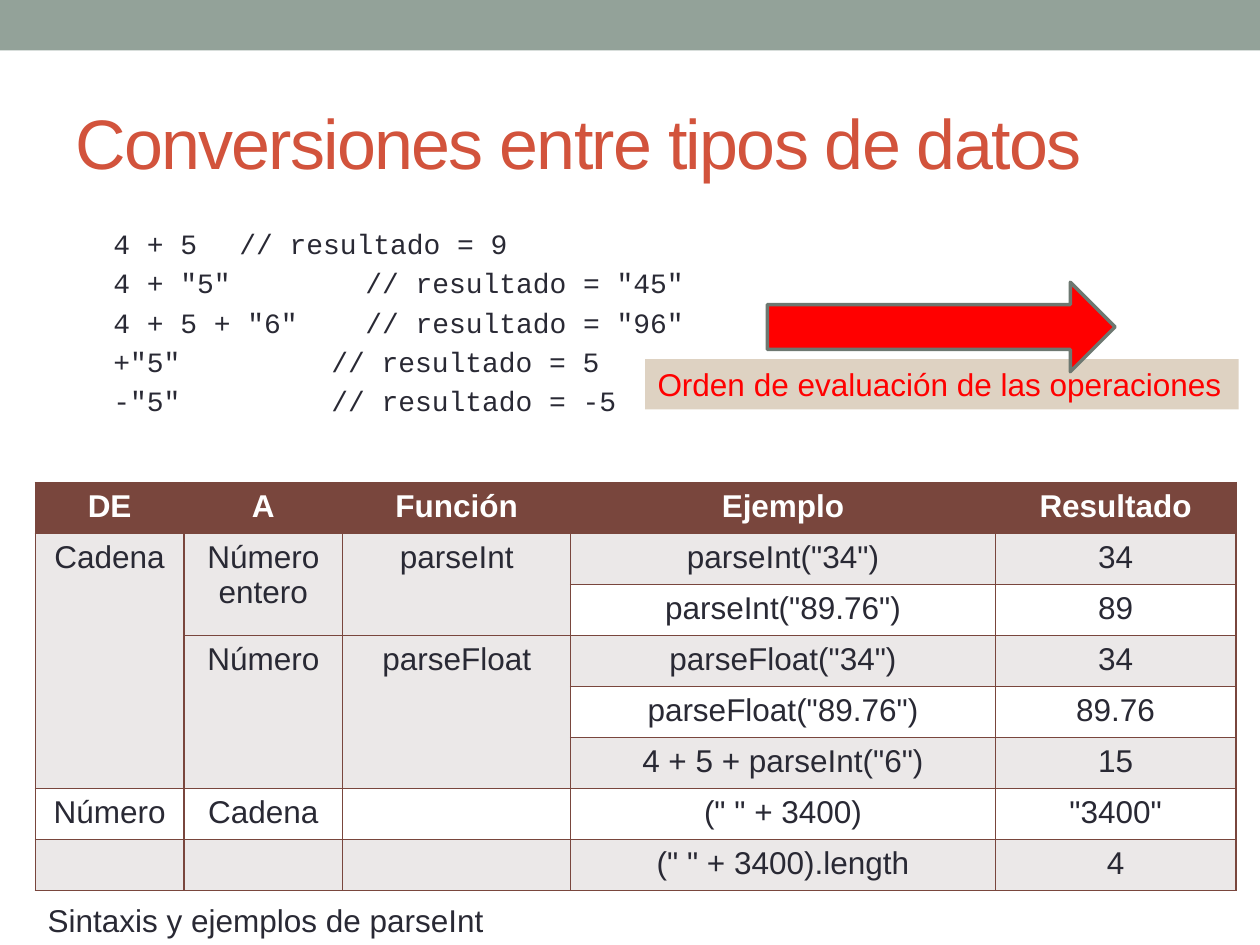
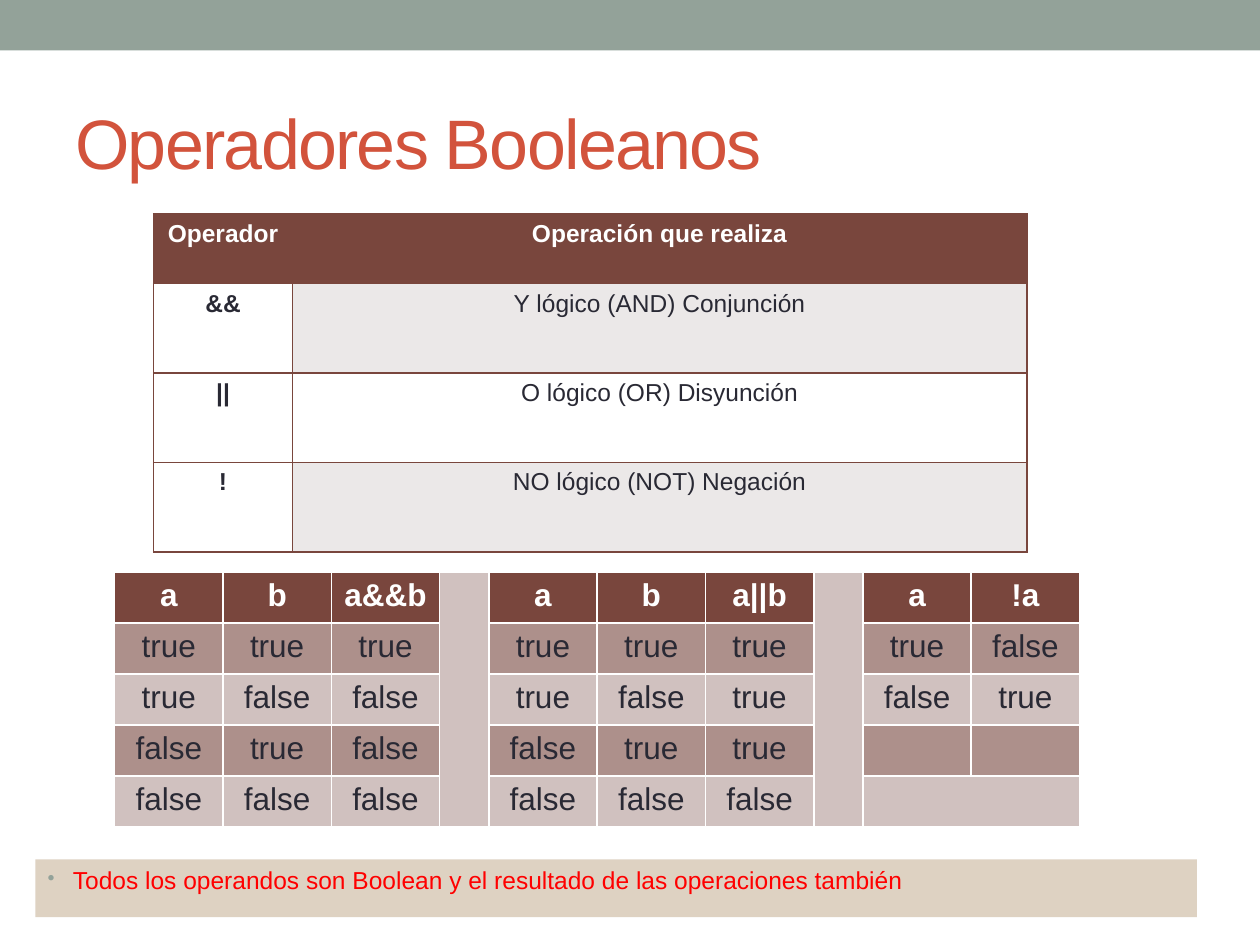
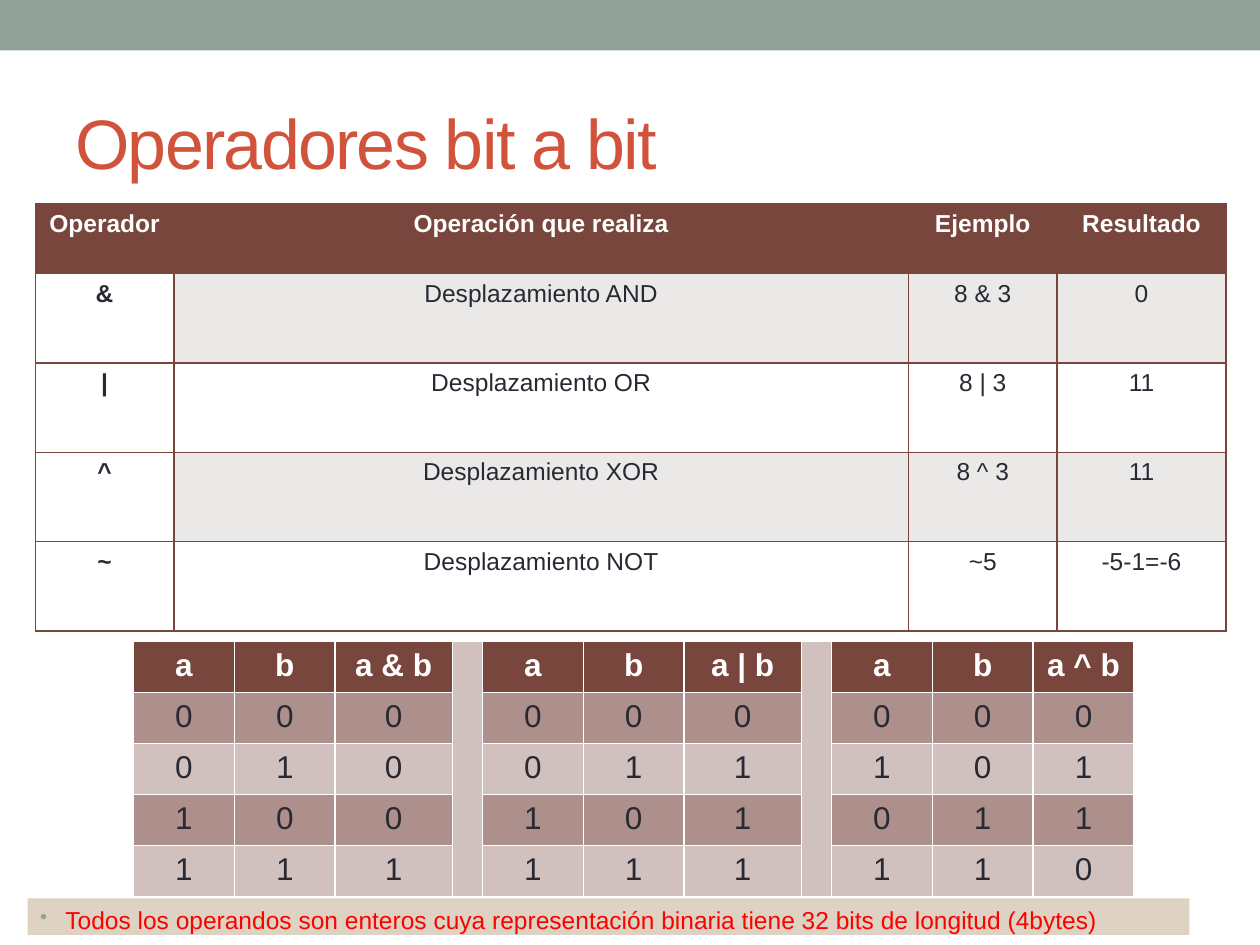
"""Build three slides on type conversions, Boolean operators and bitwise operators."""
from dataclasses import dataclass

from lxml import etree
from pptx import Presentation
from pptx import util as u
from pptx.dml.color import RGBColor
from pptx.enum import shapes, text
from pptx.oxml.ns import qn


@dataclass(frozen=True)
class Theme:
    band: str = "93A299"
    title: str = "D2533C"
    ink: str = "292934"
    paper: str = "FFFFFF"
    alert: str = "FF0000"
    note: str = "DED2C2"
    outline: str = "6D7871"
    head: str = "79463D"
    stripe: str = "EBE8E8"
    dark: str = "AD908B"
    light: str = "D0C1BF"
    sans: str = "Arial"
    mono: str = "Courier New"
    title_pt: int = 40
    body_pt: int = 18
    code_pt: int = 16
    small_pt: int = 14
    border_pt: float = 0.96


T = Theme()
WIDTH, HEIGHT = 10, 7.5
MARGIN = 0.28
ROW, HEAD_ROW, TALL_ROW = 0.405, 0.55, 0.71

CODE = [
    ('4 + 5 \t// resultado = 9', 1),
    ('4 + "5" \t// resultado = "45"', 2),
    ('4 + 5 + "6" \t// resultado = "96"', 2),
    ('+"5"\t// resultado = 5', 1.73),
    ('-"5"\t// resultado = -5', 1.73),
]
CONVERSIONS = [
    ("DE", "A", "Función", "Ejemplo", "Resultado"),
    ("Cadena", "Número entero", "parseInt", 'parseInt("34")', "34"),
    ("", "", "", 'parseInt("89.76")', "89"),
    ("", "Número", "parseFloat", 'parseFloat("34")', "34"),
    ("", "", "", 'parseFloat("89.76")', "89.76"),
    ("", "", "", '4 + 5 + parseInt("6")', "15"),
    ("Número", "Cadena", "", '(" " + 3400)', '"3400"'),
    ("", "", "", '(" " + 3400).length', "4"),
]
CONVERSION_COLS = (1.18, 1.26, 1.81, 3.37, 1.91)
CONVERSION_SPANS = [(1, 0, 5, 0), (1, 1, 2, 1), (1, 2, 2, 2), (3, 1, 5, 1), (3, 2, 5, 2)]

BOOLEAN_OPS = [
    ("Operador", "Operación que realiza"),
    ("&&", "Y lógico (AND) Conjunción"),
    ("||", "O lógico (OR) Disyunción"),
    ("!", "NO lógico (NOT) Negación"),
]
BIT_OPS = [
    ("Operador", "Operación que realiza", "Ejemplo", "Resultado"),
    ("&", "Desplazamiento AND", "8 & 3", "0"),
    ("|", "Desplazamiento OR", "8 | 3", "11"),
    ("^", "Desplazamiento XOR", "8 ^ 3", "11"),
    ("~", "Desplazamiento NOT", "~5", "-5-1=-6"),
]
OPERATOR_COLS = (1.1, 5.83, 1.18, 1.34)

BOOLEAN_TRUTH = [
    ["a b a&&b", "true true true", "true false false", "false true false", "false false false"],
    ["a b a||b", "true true true", "true false true", "false true true", "false false false"],
    ["a !a", "true false", "false true"],
]
BIT_TRUTH = [
    ["a,b,a & b", "0,0,0", "0,1,0", "1,0,0", "1,1,1"],
    ["a,b,a | b", "0,0,0", "0,1,1", "1,0,1", "1,1,1"],
    ["a,b,a ^ b", "0,0,0", "1,0,1", "0,1,1", "1,1,0"],
]


def rgb(value):
    return RGBColor.from_string(value)


def box(*lengths):
    return [u.Inches(v) for v in lengths]


def style(p, size, color, name=T.sans, bold=False):
    f = p.font
    f.size, f.name, f.bold = u.Pt(size), name, bold
    f.color.rgb = rgb(color)


def add_text(s, at, value, size, color, wrap=True):
    sp = s.shapes.add_textbox(*box(*at))
    tf = sp.text_frame
    tf.word_wrap = wrap
    p = tf.paragraphs[0]
    p.text = value
    style(p, size, color)
    return sp


def add_block(s, kind, at, fill):
    sp = s.shapes.add_shape(kind, *box(*at))
    sp.shadow.inherit = False
    sp.fill.solid()
    sp.fill.fore_color.rgb = rgb(fill)
    sp.line.fill.background()
    return sp


def add_note(s, at, value, size, bullet=False):
    tf = add_block(s, shapes.MSO_SHAPE.RECTANGLE, at, T.note).text_frame
    tf.word_wrap = True
    tf.vertical_anchor = text.MSO_ANCHOR.TOP
    p = tf.paragraphs[0]
    p.text = value
    p.alignment = text.PP_ALIGN.LEFT
    if bullet:
        p.space_before = u.Pt(2.8)
        pr = p._p.get_or_add_pPr()
        pr.set("marL", str(u.Inches(0.2)))
        pr.set("indent", str(-u.Inches(0.2)))
        color = etree.SubElement(pr, qn("a:buClr"))
        etree.SubElement(color, qn("a:srgbClr"), val=T.band)
        etree.SubElement(pr, qn("a:buSzPct"), val="85000")
        etree.SubElement(pr, qn("a:buChar"), char="•")
    style(p, size, T.alert)


def add_code(s, at, lines):
    tf = s.shapes.add_textbox(*box(*at)).text_frame
    tf.word_wrap = True
    tf.margin_left = u.Inches(0.4)
    for i, (line, stop) in enumerate(lines):
        p = tf.add_paragraph() if i else tf.paragraphs[0]
        p.text = line
        p.space_before = u.Pt(3.2)
        tabs = etree.SubElement(p._p.get_or_add_pPr(), qn("a:tabLst"))
        etree.SubElement(tabs, qn("a:tab"), pos=str(u.Inches(stop)), algn="l")
        style(p, T.code_pt, T.ink, T.mono)


def add_borders(cell, color):
    pr = cell._tc.get_or_add_tcPr()
    for side in "LRTB":
        ln = etree.SubElement(pr, qn(f"a:ln{side}"), w=str(u.Pt(T.border_pt)))
        fill = etree.SubElement(ln, qn("a:solidFill"))
        etree.SubElement(fill, qn("a:srgbClr"), val=color)


def add_grid(s, at, rows, cols, heights, size, border, stripes, fills=None, spans=(), bold_first=False):
    fills = fills or {}
    frame = s.shapes.add_table(len(rows), len(cols), *box(*at, sum(cols), sum(heights)))
    table = frame.table
    table.first_row = table.horz_banding = False
    for column, width in zip(table.columns, cols):
        column.width = u.Inches(width)
    for r, (row, height) in enumerate(zip(rows, heights)):
        table.rows[r].height = u.Inches(height)
        for c, value in enumerate(row):
            cell = table.cell(r, c)
            add_borders(cell, border)
            cell.fill.solid()
            cell.fill.fore_color.rgb = rgb(fills.get(c) if c in fills and (r or not bold_first)
                                           else stripes[r % 2] if r else T.head)
            p = cell.text_frame.paragraphs[0]
            p.text = value
            p.alignment = text.PP_ALIGN.CENTER
            style(p, size, T.ink if r else T.paper, bold=not r or (bold_first and c == 0))
    for top, left, bottom, right in spans:
        table.cell(top, left).merge(table.cell(bottom, right))


def add_operators(s, at, rows):
    heights = [HEAD_ROW] + [TALL_ROW] * (len(rows) - 1)
    add_grid(s, at, rows, OPERATOR_COLS[:len(rows[0])], heights, T.small_pt, T.head,
             (T.paper, T.stripe), {0: T.paper}, bold_first=True)


def add_truth(s, at, blocks, sep, widths, gap):
    rows, cols, gaps, spans = [[] for _ in blocks[0]], [], {}, []
    last = len(rows) - 1
    for block, block_widths in zip(blocks, widths):
        if cols:
            gaps[len(cols)] = T.light
            spans.append((0, len(cols), last, len(cols)))
            cols.append(gap)
            for row in rows:
                row.append("")
        if len(block) < len(rows):
            spans.append((last, len(cols), last, len(cols) + len(block_widths) - 1))
        for i, row in enumerate(rows):
            row += block[i].split(sep) if i < len(block) else [""] * len(block_widths)
        cols += block_widths
    add_grid(s, at, rows, cols, [ROW] * len(rows), T.body_pt, T.paper, (T.light, T.dark), gaps, spans)


def add_slide(prs, title):
    s = prs.slides.add_slide(prs.slide_layouts[6])
    add_block(s, shapes.MSO_SHAPE.RECTANGLE, (0, 0, WIDTH, 0.4), T.band)
    sp = add_text(s, (0.5, 0.58, WIDTH - 1, 1.08), title, T.title_pt, T.title)
    sp.text_frame.vertical_anchor = text.MSO_ANCHOR.MIDDLE
    sp.text_frame.paragraphs[0].runs[0].font._element.set("spc", "-100")
    return s


def conversions(prs):
    s = add_slide(prs, "Conversiones entre tipos de datos")
    add_code(s, (0.5, 1.75, WIDTH - 1, 5.33), CODE)
    add_note(s, (5.12, 2.85, 4.71, 0.4), "Orden de evaluación de las operaciones", T.body_pt)
    arrow = add_block(s, shapes.MSO_SHAPE.RIGHT_ARROW, (6.09, 2.24, 2.76, 0.71), T.alert)
    arrow.line.color.rgb = rgb(T.outline)
    arrow.line.width = u.Pt(2)
    add_grid(s, (MARGIN, 3.83), CONVERSIONS, CONVERSION_COLS, [ROW] * len(CONVERSIONS),
             T.body_pt, T.head, (T.paper, T.stripe), spans=CONVERSION_SPANS)
    add_text(s, (MARGIN, 7.1, 3.7, 0.4), "Sintaxis y ejemplos de parseInt", T.body_pt, T.ink, wrap=False)


def booleans(prs):
    s = add_slide(prs, "Operadores Booleanos")
    add_operators(s, (1.22, 1.7), BOOLEAN_OPS)
    add_note(s, (MARGIN, 6.82, 9.22, 0.46),
             "Todos los operandos son Boolean y el resultado de las operaciones también", T.small_pt, True)
    add_truth(s, (0.91, 4.54), BOOLEAN_TRUTH, " ", [[0.86] * 3, [0.86] * 3, [0.86] * 2], 0.39)


def bitwise(prs):
    s = add_slide(prs, "Operadores bit a bit")
    add_operators(s, (MARGIN, 1.62), BIT_OPS)
    add_note(s, (0.22, 7.13, 9.22, 0.29),
             "Todos los operandos son enteros cuya representación binaria tiene 32 bits de longitud (4bytes)",
             T.small_pt, True)
    add_truth(s, (1.06, 5.09), BIT_TRUTH, ",", [[0.8, 0.8, 0.93], [0.8, 0.8, 0.93], [0.8] * 3], 0.24)


prs = Presentation()
prs.slide_width, prs.slide_height = box(WIDTH, HEIGHT)
for build in (conversions, booleans, bitwise):
    build(prs)
prs.save("out.pptx")
